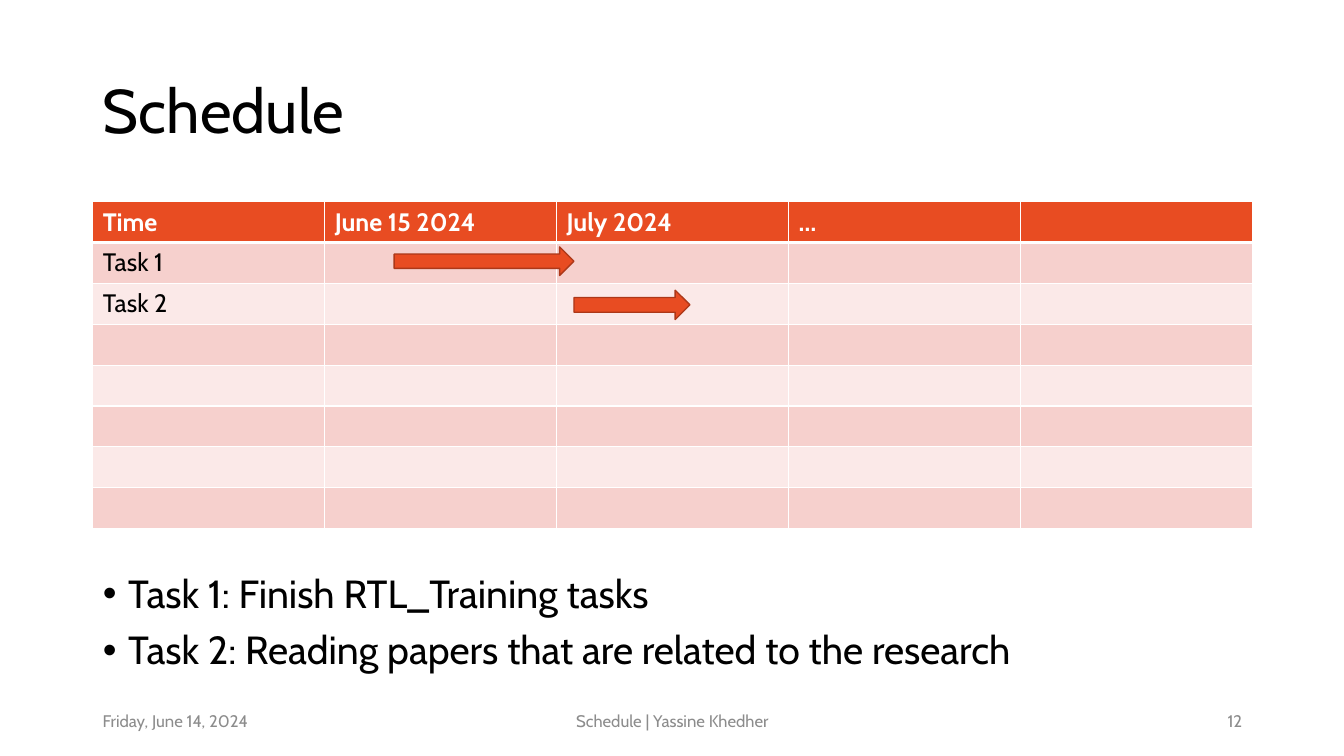
from lxml import etree
from pptx import Presentation
from pptx.dml.color import RGBColor
from pptx.enum.shapes import MSO_SHAPE
from pptx.enum.text import MSO_ANCHOR, MSO_AUTO_SIZE, PP_ALIGN
from pptx.oxml.ns import qn
from pptx.util import Inches, Pt

LEFT, CENTER, RIGHT = PP_ALIGN.LEFT, PP_ALIGN.CENTER, PP_ALIGN.RIGHT
MIDDLE, TOP = MSO_ANCHOR.MIDDLE, MSO_ANCHOR.TOP
NO_AUTOFIT = MSO_AUTO_SIZE.NONE
RIGHT_ARROW = MSO_SHAPE.RIGHT_ARROW

FONT = "Cabin"
ORANGE = RGBColor(0xE8, 0x4C, 0x22)
DARK_ORANGE = RGBColor(0xAC, 0x38, 0x19)
ROSE = RGBColor(0xF6, 0xD0, 0xCD)
PALE_ROSE = RGBColor(0xFB, 0xE9, 0xE8)
GRAY = RGBColor(0x8C, 0x8C, 0x8C)
BLACK = RGBColor(0, 0, 0)
WHITE = RGBColor(0xFF, 0xFF, 0xFF)

MARGIN, CONTENT_WIDTH = 0.92, 11.5
TABLE_TOP, ROWS, COLUMNS = 2, 8, 5
COLUMN_WIDTH, ROW_HEIGHT = CONTENT_WIDTH / COLUMNS, 0.405


def write_lines(shape, lines, size, color, alignment=LEFT, anchor=MIDDLE, **spacing):
    frame = shape.text_frame
    frame_format = {"word_wrap": True, "auto_size": NO_AUTOFIT, "vertical_anchor": anchor}
    for name, value in frame_format.items():
        setattr(frame, name, value)
    frame.text = "\n".join(lines)
    for paragraph in frame.paragraphs:
        for name, value in {"alignment": alignment, **spacing}.items():
            setattr(paragraph, name, value)
        paragraph.font.name = FONT
        paragraph.font.size = Pt(size)
        paragraph.font.color.rgb = color


def add_cell_border(cell, side, points):
    properties = cell._tc.get_or_add_tcPr()
    line = etree.SubElement(properties, qn(f"a:ln{side}"), w=str(Pt(points)))
    fill = etree.SubElement(line, qn("a:solidFill"))
    etree.SubElement(fill, qn("a:srgbClr"), val=str(WHITE))


presentation = Presentation()
presentation.slide_width = Inches(13.33)
presentation.slide_height = Inches(7.5)
slide = presentation.slides.add_slide(presentation.slide_layouts[1])

# Title and task list
title, task_list = slide.placeholders
for placeholder, top, height in [(title, 0.4, 1.45), (task_list, 5.65, 1.11)]:
    placeholder.left, placeholder.top = Inches(MARGIN), Inches(top)
    placeholder.width, placeholder.height = Inches(CONTENT_WIDTH), Inches(height)
write_lines(title, ["Schedule"], 44, BLACK, line_spacing=0.9)

tasks = [
    "Task 1: Finish RTL_Training tasks",
    "Task 2: Reading papers that are related to the research",
]
write_lines(task_list, tasks, 28, BLACK, anchor=TOP, line_spacing=0.9, space_before=Pt(10))
for paragraph in task_list.text_frame.paragraphs:
    properties = paragraph._p.get_or_add_pPr()
    properties.set("marL", str(Inches(0.25)))
    properties.set("indent", str(Inches(-0.25)))
    bullet = properties.makeelement(qn("a:buChar"), {"char": "•"})
    properties.insert_element_before(bullet, "a:tabLst", "a:defRPr", "a:extLst")

# Schedule table
cell_texts = [["Time", "June 15 2024", "July 2024", "…"], ["Task 1"], ["Task 2"]]
table = slide.shapes.add_table(
    ROWS, COLUMNS, Inches(MARGIN), Inches(TABLE_TOP),
    Inches(CONTENT_WIDTH), Inches(ROWS * ROW_HEIGHT),
).table
for row in range(ROWS):
    is_header = row == 0
    row_fill = ORANGE if is_header else (ROSE if row % 2 else PALE_ROSE)
    border_widths = {"L": 1, "R": 1, "T": 3 if row == 1 else 1, "B": 3 if is_header else 1}
    for column in range(COLUMNS):
        cell = table.cell(row, column)
        for side, points in border_widths.items():
            add_cell_border(cell, side, points)
        cell.fill.solid()
        cell.fill.fore_color.rgb = row_fill
        paragraph = cell.text_frame.paragraphs[0]
        if row < len(cell_texts) and column < len(cell_texts[row]):
            paragraph.text = cell_texts[row][column]
        font_format = {"name": FONT, "size": Pt(18), "bold": is_header}
        for name, value in font_format.items():
            setattr(paragraph.font, name, value)
        paragraph.font.color.rgb = WHITE if is_header else BLACK

# Task bars: start and length in columns, top in rows
for start, top, length, height in [(1.3, 1.11, 0.775, 0.7), (2.075, 2.17, 0.5, 0.72)]:
    task_arrow = slide.shapes.add_shape(
        RIGHT_ARROW,
        Inches(MARGIN + start * COLUMN_WIDTH), Inches(TABLE_TOP + top * ROW_HEIGHT),
        Inches(length * COLUMN_WIDTH), Inches(height * ROW_HEIGHT),
    )
    task_arrow.shadow.inherit = False
    task_arrow.fill.solid()
    task_arrow.fill.fore_color.rgb = ORANGE
    task_arrow.line.color.rgb = DARK_ORANGE
    task_arrow.line.width = Pt(1)

# Footer
footers = [
    ("Friday, June 14, 2024", MARGIN, 3, LEFT),
    ("Schedule | Yassine Khedher", 4.42, 4.5, CENTER),
    ("12", 9.42, 3, RIGHT),
]
for text, left, width, alignment in footers:
    footer = slide.shapes.add_textbox(Inches(left), Inches(6.95), Inches(width), Inches(0.4))
    write_lines(footer, [text], 12, GRAY, alignment)

presentation.save("out.pptx")
